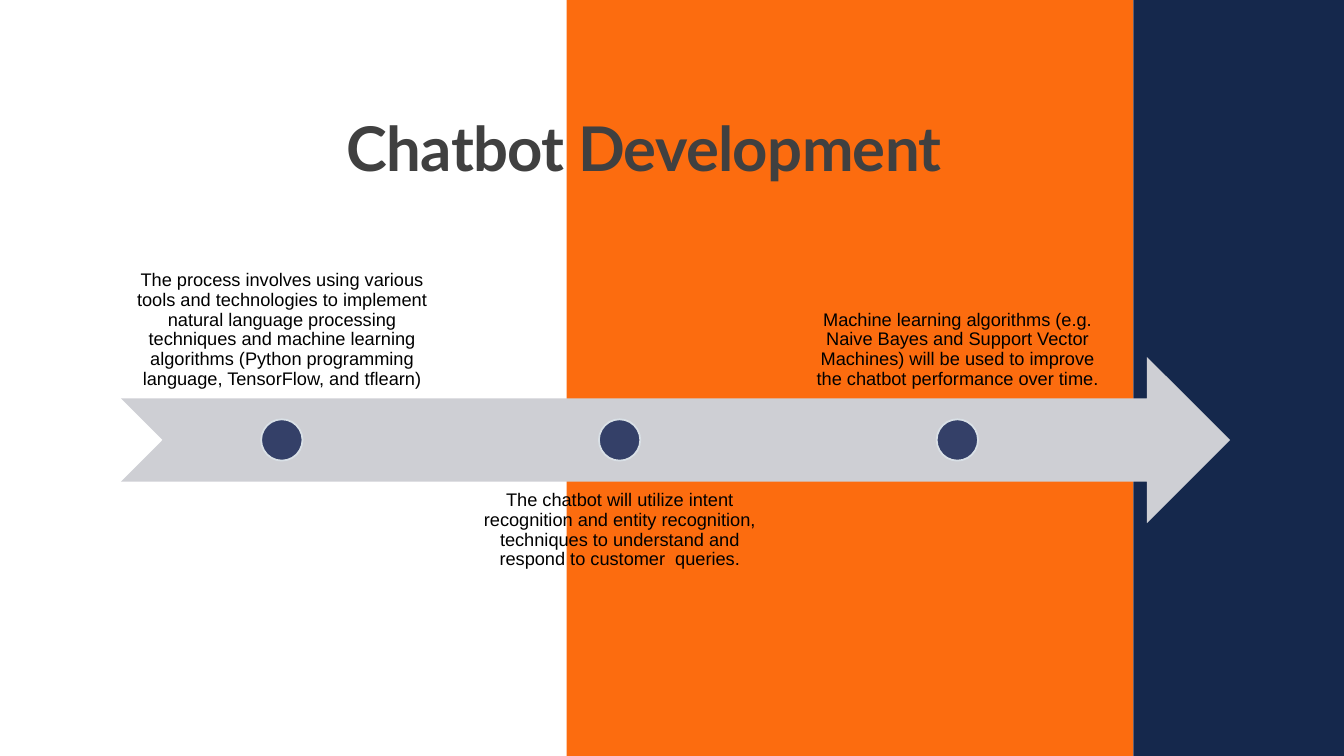
from pptx import Presentation
from pptx.dml.color import RGBColor
from pptx.enum.shapes import MSO_SHAPE
from pptx.enum.text import MSO_ANCHOR, MSO_AUTO_SIZE, PP_ALIGN
from pptx.util import Inches, Pt

RECTANGLE = MSO_SHAPE.RECTANGLE
ARROW = MSO_SHAPE.NOTCHED_RIGHT_ARROW
OVAL = MSO_SHAPE.OVAL
TOP, BOTTOM = MSO_ANCHOR.TOP, MSO_ANCHOR.BOTTOM
CENTER = PP_ALIGN.CENTER
TITLE_ONLY_LAYOUT = 5

COLORS = {
    "white": "FFFFFF",
    "orange": "FC6C0F",
    "navy": "15284C",
    "title": "404040",
    "arrow": "CECFD4",
    "dot": "344068",
    "dot_line": "D9E0E6",
    "text": "000000",
}

PANELS = [(0, 5.62, "white"), (5.62, 5.62, "orange"), (11.24, 2.09, "navy")]

STEPS = [
    "The process involves using various tools and technologies to implement "
    "natural language processing techniques and machine learning algorithms "
    "(Python programming language, TensorFlow, and tflearn)",
    "The chatbot will utilize intent recognition and entity recognition, "
    "techniques to understand and respond to customer  queries.",
    "Machine learning algorithms (e.g. Naive Bayes and Support Vector Machines) "
    "will be used to improve the chatbot performance over time.",
]
STEP_LEFT, STEP_PITCH = 1.2, 3.35
STEP_WIDTH, STEP_HEIGHT = 3.19, 1.65
ABOVE_TOP, BELOW_TOP = 2.31, 4.77
DOT_TOP, DOT_SIZE = 4.16, 0.41


def color(name):
    return RGBColor.from_string(COLORS[name])


def add_filled_shape(slide, kind, left, top, width, height, fill, line=None):
    shape = slide.shapes.add_shape(
        kind, Inches(left), Inches(top), Inches(width), Inches(height))
    shape.shadow.inherit = False
    shape.fill.solid()
    shape.fill.fore_color.rgb = color(fill)
    if line:
        shape.line.color.rgb = color(line)
        shape.line.width = Pt(1.25)
    else:
        shape.line.fill.background()


def format_paragraph(paragraph, font_name, size, font_color):
    paragraph.alignment = CENTER
    paragraph.line_spacing = 0.9
    paragraph.font.name = font_name
    paragraph.font.size = Pt(size)
    paragraph.font.color.rgb = color(font_color)


def set_title(slide, text):
    title = slide.shapes.title
    title.left, title.top = Inches(0.89), Inches(0.29)
    title.width, title.height = Inches(11), Inches(1.59)
    frame = title.text_frame
    frame.text = text
    frame.word_wrap = True
    frame.auto_size = MSO_AUTO_SIZE.NONE
    frame.vertical_anchor = BOTTOM
    paragraph = frame.paragraphs[0]
    format_paragraph(paragraph, "Lato", 44, "title")
    paragraph.font.bold = True
    paragraph.runs[0].font._element.set("spc", "-50")
    # Bring the title in front of the background panels.
    title.element.getparent().append(title.element)


def add_step(slide, index, text):
    """Add a dot on the arrow, with its text above or below in turn."""
    left = STEP_LEFT + index * STEP_PITCH
    above = index % 2 == 0
    box = slide.shapes.add_textbox(
        Inches(left), Inches(ABOVE_TOP if above else BELOW_TOP),
        Inches(STEP_WIDTH), Inches(STEP_HEIGHT))
    frame = box.text_frame
    frame.word_wrap = True
    frame.vertical_anchor = BOTTOM if above else TOP
    frame.margin_left = frame.margin_right = Inches(0.1)
    frame.margin_top = frame.margin_bottom = Inches(0.1)
    frame.text = text
    format_paragraph(frame.paragraphs[0], "Arial", 13, "text")
    dot_left = left + (STEP_WIDTH - DOT_SIZE) / 2
    add_filled_shape(slide, OVAL, dot_left, DOT_TOP, DOT_SIZE, DOT_SIZE,
                     "dot", "dot_line")


def main():
    presentation = Presentation()
    presentation.slide_width = Inches(13.33)
    presentation.slide_height = Inches(7.5)
    layout = presentation.slide_layouts[TITLE_ONLY_LAYOUT]
    slide = presentation.slides.add_slide(layout)
    for left, width, fill in PANELS:
        add_filled_shape(slide, RECTANGLE, left, 0, width, 7.5, fill)
    set_title(slide, "Chatbot Development")
    add_filled_shape(slide, ARROW, 1.2, 3.54, 11, 1.65, "arrow")
    for index, text in enumerate(STEPS):
        add_step(slide, index, text)
    presentation.save("out.pptx")


if __name__ == "__main__":
    main()
